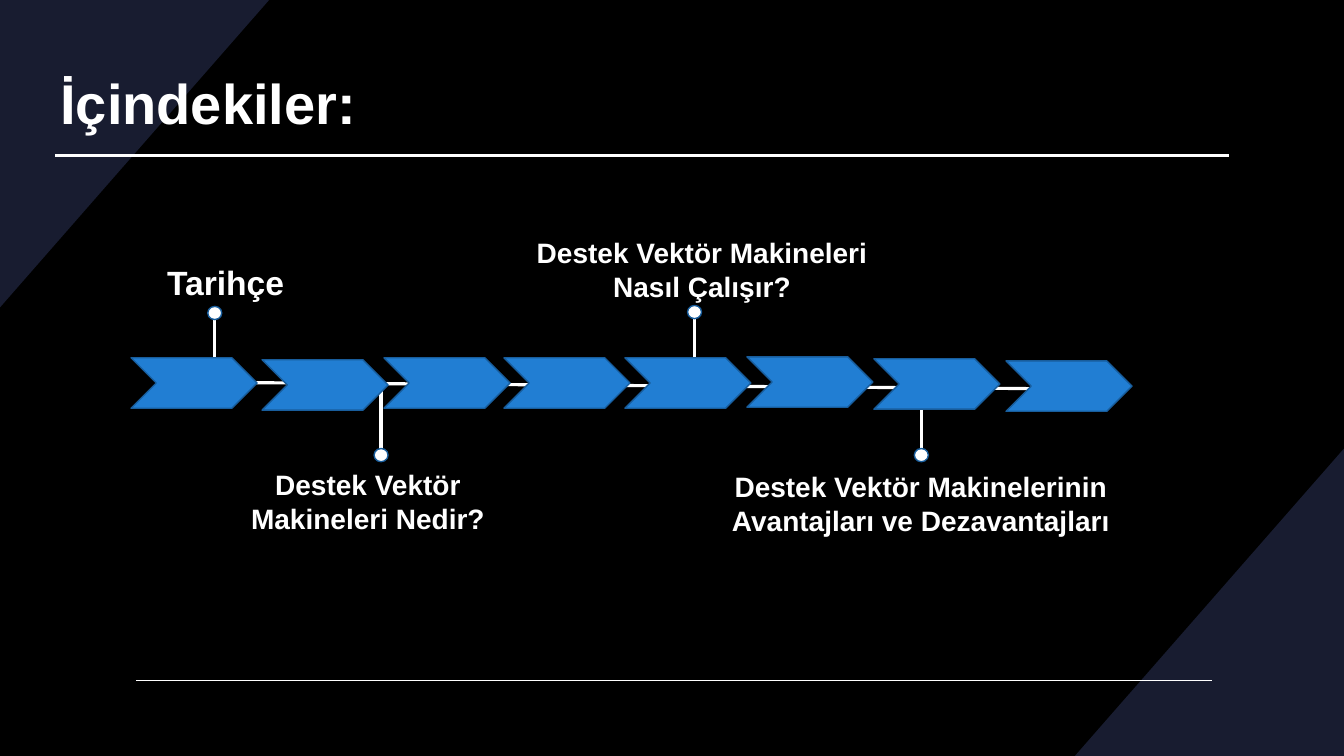
"""Build the dark contents slide with a chevron timeline."""
import pptx
import pptx.dml.color
import pptx.enum.shapes
import pptx.enum.text
import pptx.oxml.ns
import pptx.util
from lxml import etree

Pt = pptx.util.Pt
SHAPES = pptx.enum.shapes.MSO_SHAPE
ALIGN = pptx.enum.text.PP_ALIGN

WIDTH, HEIGHT = 960, 540
WHITE, BLACK, NAVY, BLUE, EDGE = "FFFFFF", "000000", "181C30", "217ED3", "185D9C"
CORNER_WIDTH, CORNER_HEIGHT = 192.24, 219.6
CHEVRON_SIZE = (90, 36)
DOT_SIZE = (10, 9.4)

TITLE = "İçindekiler:"
CORNERS = [
    [(WIDTH, HEIGHT - CORNER_HEIGHT), (WIDTH, HEIGHT), (WIDTH - CORNER_WIDTH, HEIGHT)],
    [(0, CORNER_HEIGHT), (0, 0), (CORNER_WIDTH, 0)],
]
RULES = [
    ((97.2, 486), (865.4, 486), 1),
    ((39.6, 111.4), (877.7, 111.4), 2.25),
    ((123.8, 272.9), (776.2, 277.9), 2.25),
]
CHEVRONS = [
    (93.6, 255.6), (187.2, 257), (274.3, 255.6), (360, 255.6),
    (446.4, 255.6), (533.5, 254.9), (624.2, 256.3), (718.6, 257.8),
]
TOPICS = [
    {"lines": ["Tarihçe"], "size": 24, "align": ALIGN.LEFT,
     "box": (112.3, 183.6, 125.3, 36), "stem": (153.4, 218.9, 270), "dot_top": 218.9},
    {"lines": ["Destek Vektör", "Makineleri Nedir?"], "size": 20, "align": ALIGN.CENTER,
     "box": (121, 330.5, 283.7, 55.4), "stem": (272.2, 273.6, 324.7), "dot_top": 320.4},
    {"lines": ["Destek Vektör Makineleri", "Nasıl Çalışır?"], "size": 20, "align": ALIGN.CENTER,
     "box": (375.1, 164.9, 252.7, 55.4), "stem": (496.1, 222.5, 272.9), "dot_top": 218.2},
    {"lines": ["Destek Vektör Makinelerinin", "Avantajları ve Dezavantajları"], "size": 20,
     "align": ALIGN.CENTER,
     "box": (488.2, 331.9, 339.1, 55.4), "stem": (658.1, 270, 321.1), "dot_top": 320.4},
]


def color(code):
    return pptx.dml.color.RGBColor.from_string(code)


def paint(shape, fill, edge=None):
    shape.shadow.inherit = False
    shape.fill.solid()
    shape.fill.fore_color.rgb = color(fill)
    if edge:
        shape.line.color.rgb = color(edge)
        shape.line.width = Pt(1)
    else:
        shape.line.fill.background()


def add_corner(page, points):
    start, *others = [(Pt(x), Pt(y)) for x, y in points]
    builder = page.shapes.build_freeform(*start)
    builder.add_line_segments(others, close=True)
    paint(builder.convert_to_shape(), NAVY)


def add_line(page, start, end, width=2.25):
    line = page.shapes.add_connector(
        pptx.enum.shapes.MSO_CONNECTOR.STRAIGHT, *map(Pt, start + end))
    line.line.color.rgb = color(WHITE)
    line.line.width = Pt(width)
    etree.SubElement(line.element.spPr, pptx.oxml.ns.qn("a:effectLst"))


def add_shape(page, kind, position, size, fill):
    paint(page.shapes.add_shape(kind, *map(Pt, position + size)), fill, EDGE)


def write(frame, lines, size, align):
    for index, text in enumerate(lines):
        para = frame.add_paragraph() if index else frame.paragraphs[0]
        para.text = text
        para.alignment = align
        para.font.name = "Arial"
        para.font.size = Pt(size)
        para.font.bold = True
        para.font.color.rgb = color(WHITE)


def add_title(page):
    title = page.shapes.title
    title.element.getparent().append(title.element)
    title.left, title.top, title.width, title.height = map(Pt, (36, 19.4, 779.8, 107.3))
    title.text_frame.vertical_anchor = pptx.enum.text.MSO_ANCHOR.MIDDLE
    write(title.text_frame, [TITLE], 40, ALIGN.LEFT)


def add_label(page, topic):
    frame = page.shapes.add_textbox(*map(Pt, topic["box"])).text_frame
    frame.word_wrap = True
    frame.auto_size = pptx.enum.text.MSO_AUTO_SIZE.SHAPE_TO_FIT_TEXT
    write(frame, topic["lines"], topic["size"], topic["align"])


def main():
    deck = pptx.Presentation()
    deck.slide_width, deck.slide_height = Pt(WIDTH), Pt(HEIGHT)
    page = deck.slides.add_slide(deck.slide_layouts[5])
    page.background.fill.solid()
    page.background.fill.fore_color.rgb = color(BLACK)
    for points in CORNERS:
        add_corner(page, points)
    add_title(page)
    for start, end, width in RULES:
        add_line(page, start, end, width)
    for topic in TOPICS:
        x, top, bottom = topic["stem"]
        add_line(page, (x, top), (x, bottom))
        add_label(page, topic)
        dot_position = (x - DOT_SIZE[0] / 2, topic["dot_top"])
        add_shape(page, SHAPES.OVAL, dot_position, DOT_SIZE, WHITE)
    for position in CHEVRONS:
        add_shape(page, SHAPES.CHEVRON, position, CHEVRON_SIZE, BLUE)
    deck.save("out.pptx")


if __name__ == "__main__":
    main()
